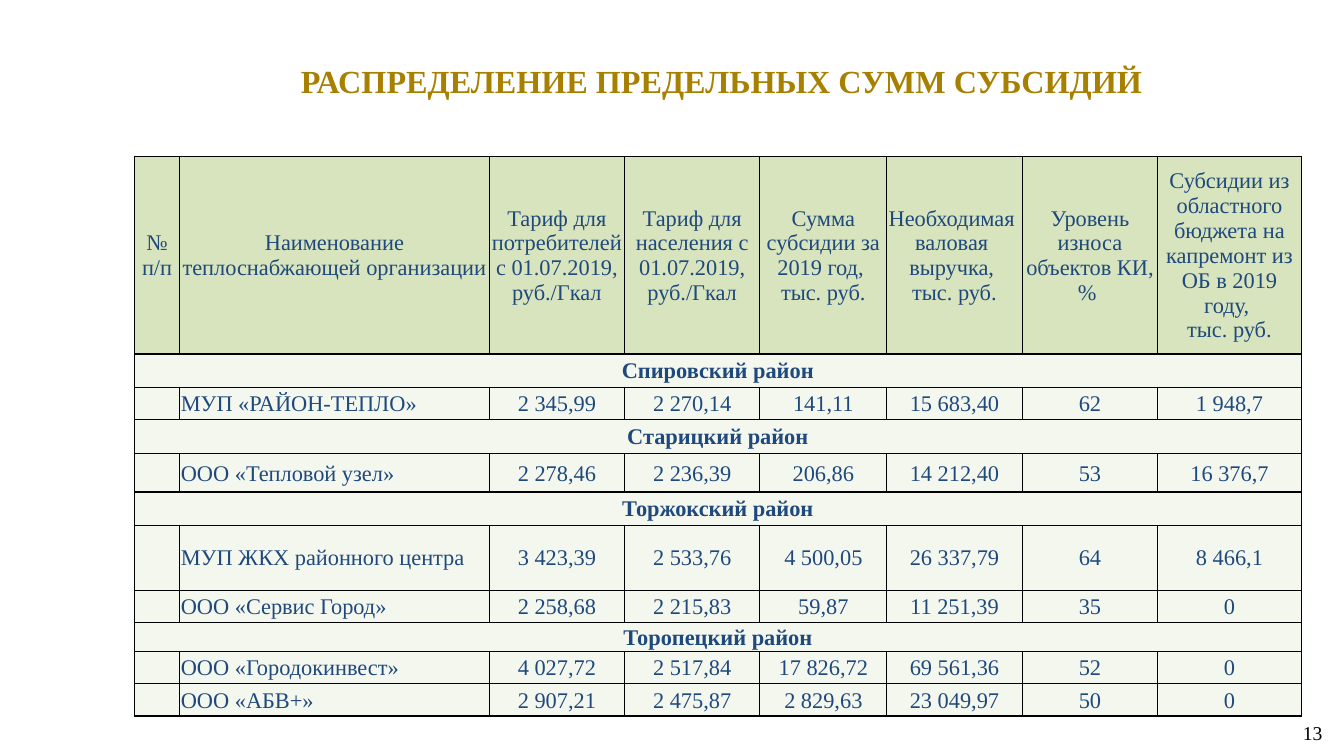
from lxml import etree
from pptx import Presentation
from pptx.dml.color import RGBColor
from pptx.enum.shapes import MSO_SHAPE
from pptx.enum.text import MSO_ANCHOR, PP_ALIGN
from pptx.oxml.ns import qn
from pptx.util import Cm, Pt

LEFT, CENTER, RIGHT = PP_ALIGN.LEFT, PP_ALIGN.CENTER, PP_ALIGN.RIGHT
TOP, MIDDLE = MSO_ANCHOR.TOP, MSO_ANCHOR.MIDDLE
RECTANGLE = MSO_SHAPE.RECTANGLE

GOLD = RGBColor(0xA8, 0x80, 0x00)
NAVY = RGBColor(0x1F, 0x49, 0x7D)
HEADER_GREEN = RGBColor(0xD7, 0xE4, 0xBD)
BODY_GREEN = RGBColor(0xEB, 0xF1, 0xDE)
BLACK = RGBColor(0, 0, 0)
WHITE = RGBColor(255, 255, 255)

COLUMN_WIDTHS = [1.14, 7.8, 3.41, 3.41, 3.2, 3.41, 3.42, 3.61]
ROW_HEIGHTS = [4.98, 0.84, 0.81, 0.86, 0.97, 0.84, 1.63, 0.81, 0.74, 0.81, 0.81]

HEADERS = [
    ["№ п/п"],
    ["Наименование теплоснабжающей организации"],
    ["Тариф для потребителей с 01.07.2019,", "руб./Гкал"],
    ["Тариф для населения с 01.07.2019,", "руб./Гкал"],
    ["Сумма субсидии за 2019 год, ", "тыс. руб."],
    ["Необходимая ", "валовая ", "выручка, ", "тыс. руб."],
    ["Уровень износа объектов КИ, % "],
    ["Субсидии из областного бюджета на капремонт из ОБ в 2019 году, ", "тыс. руб."],
]

DISTRICTS = {
    "Спировский район": [
        ["МУП «РАЙОН-ТЕПЛО»", "2 345,99", "2 270,14", "141,11", "15 683,40", "62", "1 948,7"],
    ],
    "Старицкий район": [
        ["ООО «Тепловой узел»", "2 278,46", "2 236,39", "206,86", "14 212,40", "53", "16 376,7"],
    ],
    "Торжокский район": [
        ["МУП ЖКХ районного центра", "3 423,39", "2 533,76", "4 500,05", "26 337,79", "64", "8 466,1"],
        ["ООО «Сервис Город»", "2 258,68", "2 215,83", "59,87", "11 251,39", "35", "0"],
    ],
    "Торопецкий район": [
        ["ООО «Городокинвест»", "4 027,72", "2 517,84", "17 826,72", "69 561,36", "52", "0"],
        ["ООО «АБВ+»", "2 907,21", "2 475,87", "2 829,63", "23 049,97", "50", "0"],
    ],
}


class SlideBuilder:
    font_name = "Times New Roman"
    table_size = Pt(16)
    cell_margin = Cm(0.03)
    border_width = Pt(1)

    def __init__(self, slide):
        self.slide = slide

    def add_lines(self, text_frame, lines, alignment, color, **font_format):
        """Put each line in its own paragraph."""
        for index, line in enumerate(lines):
            paragraph = text_frame.add_paragraph() if index else text_frame.paragraphs[0]
            paragraph.alignment = alignment
            run = paragraph.add_run()
            run.text = line
            run.font.color.rgb = color
            for name, value in {"name": self.font_name, **font_format}.items():
                setattr(run.font, name, value)

    def title(self, text, left, top, width, height):
        text_frame = self.slide.shapes.add_textbox(
            Cm(left), Cm(top), Cm(width), Cm(height)).text_frame
        text_frame.word_wrap = True
        text_frame.vertical_anchor = MIDDLE
        self.add_lines(text_frame, [text], CENTER, GOLD, size=Pt(23), bold=True)

    def page_number(self, text, left, top, width, height):
        shape = self.slide.shapes.add_shape(
            RECTANGLE, Cm(left), Cm(top), Cm(width), Cm(height))
        shape.shadow.inherit = False
        shape.fill.solid()
        shape.fill.fore_color.rgb = WHITE
        shape.line.fill.background()
        shape.text_frame.vertical_anchor = TOP
        self.add_lines(shape.text_frame, [text], RIGHT, BLACK, size=Pt(14))

    def table(self, left, top, column_widths, row_heights):
        table = self.slide.shapes.add_table(
            len(row_heights), len(column_widths), Cm(left), Cm(top),
            Cm(sum(column_widths)), Cm(sum(row_heights))).table
        for column, width in zip(table.columns, column_widths):
            column.width = Cm(width)
        for row, height in zip(table.rows, row_heights):
            row.height = Cm(height)
        return table

    def cell(self, cell, lines, fill, alignment=CENTER, bold=False, opacity=100):
        values = {"vertical_anchor": MIDDLE, "margin_left": self.cell_margin,
                  "margin_right": self.cell_margin, "margin_top": self.cell_margin,
                  "margin_bottom": 0}
        for name, value in values.items():
            setattr(cell, name, value)
        cell.fill.solid()
        cell.fill.fore_color.rgb = fill
        if opacity < 100:
            color = cell._tc.tcPr.find(f"{qn('a:solidFill')}/{qn('a:srgbClr')}")
            etree.SubElement(color, qn("a:alpha"), val=str(opacity * 1000))
        self.borders(cell)
        if lines:
            self.add_lines(cell.text_frame, lines, alignment, NAVY,
                           size=self.table_size, bold=bold)
        else:
            # An empty cell would otherwise stretch its row to the default text size.
            end = etree.SubElement(cell.text_frame.paragraphs[0]._p, qn("a:endParaRPr"))
            end.set("sz", str(int(self.table_size.pt * 100)))

    def borders(self, cell):
        for index, side in enumerate(("lnL", "lnR", "lnT", "lnB")):
            line = etree.Element(qn(f"a:{side}"), w=str(int(self.border_width)))
            fill = etree.SubElement(line, qn("a:solidFill"))
            etree.SubElement(fill, qn("a:srgbClr"), val=str(BLACK))
            cell._tc.tcPr.insert(index, line)


def fill_subsidy_table(builder, table):
    body = {"fill": BODY_GREEN, "opacity": 50}
    for column, lines in enumerate(HEADERS):
        builder.cell(table.cell(0, column), lines, HEADER_GREEN)
    last_column = len(HEADERS) - 1
    row = 1
    for district, organizations in DISTRICTS.items():
        table.cell(row, 0).merge(table.cell(row, last_column))
        for column in range(len(HEADERS)):
            builder.cell(table.cell(row, column), [] if column else [district],
                         bold=True, **body)
        row += 1
        for organization in organizations:
            builder.cell(table.cell(row, 0), [], **body)
            for column, text in enumerate(organization, 1):
                builder.cell(table.cell(row, column), [text],
                             alignment=LEFT if column == 1 else CENTER, **body)
            row += 1


def main():
    presentation = Presentation()
    presentation.slide_width = Cm(33.87)
    presentation.slide_height = Cm(19.05)
    builder = SlideBuilder(presentation.slides.add_slide(presentation.slide_layouts[6]))
    builder.title("РАСПРЕДЕЛЕНИЕ ПРЕДЕЛЬНЫХ СУММ СУБСИДИЙ", 4.7, 1.42, 27, 1.24)
    builder.page_number("13", 32.54, 18.03, 1.04, 0.86)
    fill_subsidy_table(builder, builder.table(3.39, 3.94, COLUMN_WIDTHS, ROW_HEIGHTS))
    presentation.save("out.pptx")


if __name__ == "__main__":
    main()
